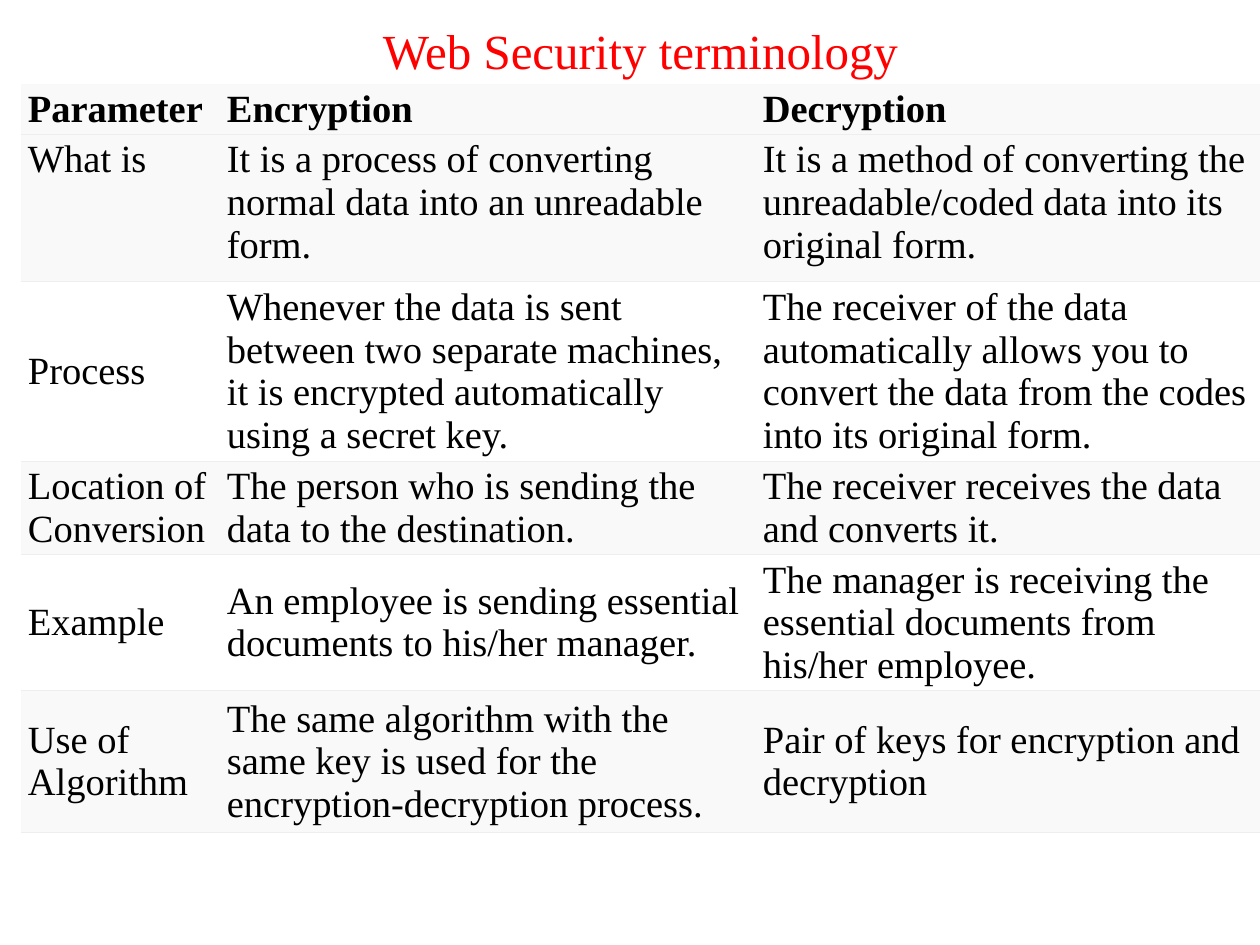
from dataclasses import dataclass

from lxml import etree
from pptx import Presentation
from pptx.dml.color import RGBColor
from pptx.enum.text import MSO_ANCHOR, PP_ALIGN
from pptx.oxml.ns import qn
from pptx.util import Emu, Pt

TOP, MIDDLE = MSO_ANCHOR.TOP, MSO_ANCHOR.MIDDLE
CENTER, LEFT = PP_ALIGN.CENTER, PP_ALIGN.LEFT
PX_PER_INCH = 126
TITLE_ONLY = 5


@dataclass(frozen=True)
class Theme:
    font: str = "Times New Roman"
    title_size: int = 28
    table_size: int = 22
    title: str = "FF0000"
    text: str = "000000"
    shaded: str = "F9F9F9"
    plain: str = "FFFFFF"
    rule: str = "EEEEEE"
    rule_width: float = 0.75


THEME = Theme()
COLUMN_WIDTHS = (199, 536, 504)
CELL_MARGIN_X, CELL_MARGIN_Y = 7, 4

# Each row: height, fill, cell anchors, cell texts
ROWS = (
    (49, THEME.shaded, (MIDDLE, MIDDLE, MIDDLE),
     ("Parameter", "Encryption", "Decryption")),
    (147, THEME.shaded, (TOP, TOP, TOP),
     ("What is",
      "It is a process of converting normal data into an unreadable form.",
      "It is a method of converting the unreadable/coded data into its original form.")),
    (180, THEME.plain, (MIDDLE, MIDDLE, MIDDLE),
     ("Process",
      "Whenever the data is sent between two separate machines, "
      "it is encrypted automatically using a secret key.",
      "The receiver of the data automatically allows you to convert "
      "the data from the codes into its original form.")),
    (93, THEME.shaded, (MIDDLE, TOP, TOP),
     ("Location of Conversion",
      "The person who is sending the data to the destination.",
      "The receiver receives the data and converts it.")),
    (136, THEME.plain, (MIDDLE, MIDDLE, MIDDLE),
     ("Example",
      "An employee is sending essential documents to his/her manager.",
      "The manager is receiving the essential documents from his/her employee.")),
    (142, THEME.shaded, (MIDDLE, MIDDLE, MIDDLE),
     ("Use of Algorithm",
      "The same algorithm with the same key is used for the encryption-decryption process.",
      "Pair of keys for encryption and decryption")),
)


def px(length):
    return Emu(round(length * 914400 / PX_PER_INCH))


def format_paragraph(paragraph, size, color, bold=False, align=LEFT):
    paragraph.alignment = align
    font = paragraph.font
    font.name, font.size, font.bold = THEME.font, Pt(size), bold
    font.color.rgb = RGBColor.from_string(color)


def set_borders(cell, ruled_sides):
    """Draw thin rules on the named sides and clear the other sides."""
    properties = cell._tc.get_or_add_tcPr()
    for index, side in enumerate("LRTB"):
        line = etree.Element(qn(f"a:ln{side}"))
        if side in ruled_sides:
            line.set("w", str(Pt(THEME.rule_width)))
            fill = etree.SubElement(line, qn("a:solidFill"))
            etree.SubElement(fill, qn("a:srgbClr"), val=THEME.rule)
        else:
            etree.SubElement(line, qn("a:noFill"))
        properties.insert(index, line)


def add_title(slide, left, top, width, height):
    title = slide.shapes.title
    title.left, title.top = px(left), px(top)
    title.width, title.height = px(width), px(height)
    frame = title.text_frame
    frame.text = "Web Security terminology"
    frame.vertical_anchor = MIDDLE
    format_paragraph(frame.paragraphs[0], THEME.title_size, THEME.title, align=CENTER)


def format_cell(cell, text, anchor, fill, is_header):
    cell.text = text
    cell.vertical_anchor = anchor
    cell.margin_left = cell.margin_right = px(CELL_MARGIN_X)
    cell.margin_top = cell.margin_bottom = px(CELL_MARGIN_Y)
    cell.fill.solid()
    cell.fill.fore_color.rgb = RGBColor.from_string(fill)
    set_borders(cell, "B" if is_header else "TB")
    format_paragraph(cell.text_frame.paragraphs[0], THEME.table_size, THEME.text, is_header)


def add_comparison_table(slide, left, top):
    width, height = sum(COLUMN_WIDTHS), sum(row[0] for row in ROWS)
    table = slide.shapes.add_table(
        len(ROWS), len(COLUMN_WIDTHS), px(left), px(top), px(width), px(height)).table
    table.horz_banding = False
    for column, column_width in zip(table.columns, COLUMN_WIDTHS):
        column.width = px(column_width)
    for index, (row_height, fill, anchors, texts) in enumerate(ROWS):
        row = table.rows[index]
        row.height = px(row_height)
        for cell, text, anchor in zip(row.cells, texts, anchors):
            format_cell(cell, text, anchor, fill, index == 0)


def main():
    presentation = Presentation()
    presentation.slide_width, presentation.slide_height = px(1260), px(945)
    slide = presentation.slides.add_slide(presentation.slide_layouts[TITLE_ONLY])
    add_title(slide, 105, 4, 1071, 91)
    add_comparison_table(slide, 21, 84)
    presentation.save("out.pptx")


if __name__ == "__main__":
    main()
